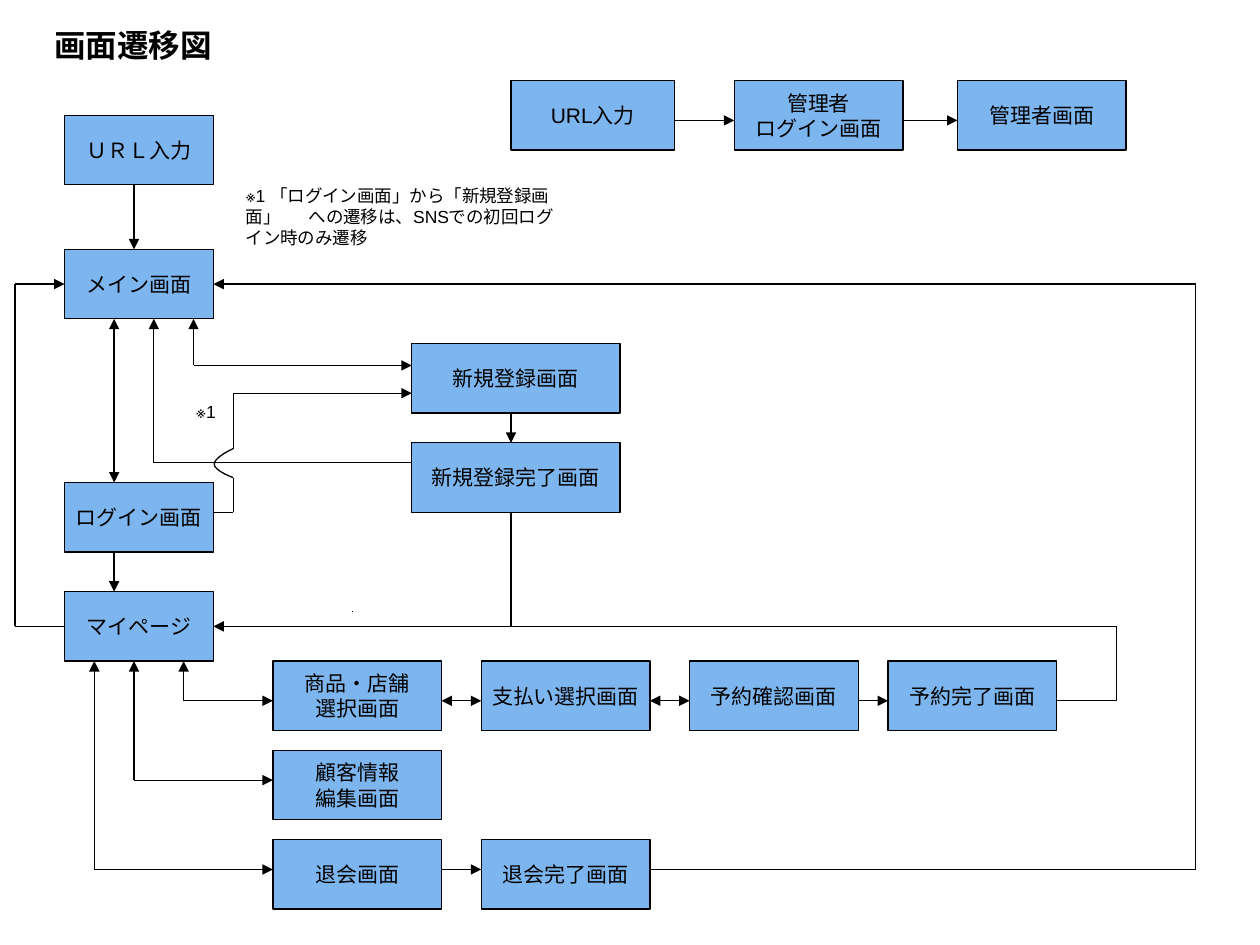
"""Build the screen transition diagram on a two-millimetre grid."""
from dataclasses import dataclass
from itertools import pairwise

from lxml import etree
from pptx import Presentation
from pptx import util as u
from pptx.dml.color import RGBColor
from pptx.enum import shapes, text
from pptx.oxml.ns import qn

CELL, LEFT, TOP = u.Mm(2), u.Inches(0.04), u.Inches(0.05)
BLACK, BLUE = "000000", "7DB6EF"
BOX_ROWS = 7
Point = tuple[float, float]


@dataclass(frozen=True)
class Screen:
    """A named screen, placed by grid column and row."""
    label: str
    column: float
    row: float
    columns: float = 17

    def sides(self) -> list[Point]:
        """Return the side middles as top, left, bottom, right."""
        middle, centre = self.column + self.columns / 2, self.row + BOX_ROWS / 2
        return [(middle, self.row), (self.column, centre),
                (middle, self.row + BOX_ROWS), (self.column + self.columns, centre)]


@dataclass(frozen=True)
class Route:
    """A transition through grid points, with arrows at its ends."""
    points: tuple[Point, ...]
    start_arrow: bool = False
    end_arrow: bool = True


@dataclass(frozen=True)
class Note:
    """Plain text in a wrapping box."""
    label: str
    column: float
    row: float
    columns: float
    rows: float
    size: int = 10
    bold: bool = False


SCREENS = [
    Screen("ＵＲＬ入力", 6, 11, 15),
    Screen("メイン画面", 6, 24.5, 15),
    Screen("ログイン画面", 6, 48, 15),
    Screen("マイページ", 6, 59, 15),
    Screen("新規登録画面", 41, 34, 21),
    Screen("新規登録完了画面", 41, 44, 21),
    Screen("商品・店舗\n選択画面", 27, 66),
    Screen("支払い選択画面", 48, 66),
    Screen("予約確認画面", 69, 66),
    Screen("予約完了画面", 89, 66),
    Screen("顧客情報\n編集画面", 27, 75),
    Screen("退会画面", 27, 84),
    Screen("退会完了画面", 48, 84),
    Screen("URL入力", 51, 7.5, 16.5),
    Screen("管理者\nログイン画面", 73.5, 7.5),
    Screen("管理者画面", 96, 7.5),
]

ROUTES = [
    Route(((13, 18), (13, 24.5))),
    Route(((11, 31.5), (11, 48)), start_arrow=True),
    Route(((11, 55), (11, 59))),
    Route(((19, 31.5), (19, 36.2), (41, 36.2)), start_arrow=True),
    Route(((41, 46), (15, 46), (15, 31.5))),
    Route(((51, 41), (51, 44))),
    Route(((51, 51), (51, 62.5)), end_arrow=False),
    Route(((21, 51), (23, 51), (23, 47.5)), end_arrow=False),
    Route(((23, 44.6), (23, 39), (41, 39))),
    Route(((18, 66), (18, 70), (27, 70)), start_arrow=True),
    Route(((13, 66), (13, 78), (27, 78)), start_arrow=True),
    Route(((9, 66), (9, 87), (27, 87)), start_arrow=True),
    Route(((44, 70), (48, 70)), start_arrow=True),
    Route(((65, 70), (69, 70)), start_arrow=True),
    Route(((86, 70), (89, 70))),
    Route(((106, 70), (112, 70), (112, 62.5), (21, 62.5))),
    Route(((44, 87), (48, 87))),
    Route(((65, 87), (120, 87), (120, 28), (21, 28))),
    Route(((6, 62.5), (1, 62.5), (1, 28), (6, 28))),
    Route(((67.5, 11.5), (73.5, 11.5))),
    Route(((90.5, 11.5), (96, 11.5))),
    Route(((35, 61), (35, 61.1)), end_arrow=False),
]

NOTES = [
    Note("画面遷移図", 3.7, 1.4, 19.3, 5.1, size=18, bold=True),
    Note("※1 「ログイン画面」から「新規登録画面」\tへの遷移は、SNSでの初回ログイン時のみ遷移",
         23, 17.4, 34, 7.6),
    Note("※1", 18, 39.2, 6, 3.4),
]

BRIDGE = [
    ((23, 44.6), (22.5, 44.8), (21, 45.6), (21.1, 46.2)),
    ((21.1, 46.2), (21.1, 46.7), (22.6, 47.4), (23, 47.5)),
]


def colour(value: str) -> RGBColor:
    """Turn a hex string into a colour."""
    return RGBColor.from_string(value)


def place(point: Point) -> tuple[int, int]:
    """Turn a grid point into slide lengths."""
    return round(LEFT + point[0] * CELL), round(TOP + point[1] * CELL)


def write(frame, label: str, align, size: int = 12, bold: bool = False) -> None:
    """Fill a text frame, one paragraph per line of the label."""
    for index, line in enumerate(label.split("\n")):
        para = frame.add_paragraph() if index else frame.paragraphs[0]
        para.alignment = align
        span = para.add_run()
        span.text = line
        for name, value in {"name": "Arial", "size": u.Pt(size), "bold": bold}.items():
            setattr(span.font, name, value)
        span.font.color.rgb = colour(BLACK)


def outline(shape) -> None:
    """Give a shape or connector the common thin line."""
    shape.line.color.rgb = colour(BLACK)
    shape.line.width = u.Pt(0.75)


def draw_screen(page, screen: Screen):
    """Draw one screen box and return it."""
    box = page.shapes.add_shape(
        shapes.MSO_SHAPE.FLOWCHART_PROCESS, *place((screen.column, screen.row)),
        round(screen.columns * CELL), BOX_ROWS * CELL)
    box.shadow.inherit = False
    box.fill.solid()
    box.fill.fore_color.rgb = colour(BLUE)
    outline(box)
    box.text_frame.word_wrap = False
    box.text_frame.vertical_anchor = text.MSO_ANCHOR.MIDDLE
    write(box.text_frame, screen.label, text.PP_ALIGN.CENTER)
    return box


def draw_route(page, route: Route, joints: dict) -> None:
    """Draw a route, joining it to boxes at the middles of their sides."""
    last = len(route.points) - 2
    for index, (start, end) in enumerate(pairwise(route.points)):
        line = page.shapes.add_connector(
            shapes.MSO_CONNECTOR.STRAIGHT, *place(start), *place(end))
        outline(line)
        if start in joints:
            line.begin_connect(*joints[start])
        if end in joints:
            line.end_connect(*joints[end])
        stroke = line.line._get_or_add_ln()
        arrows = {"a:headEnd": route.start_arrow and index == 0,
                  "a:tailEnd": route.end_arrow and index == last}
        for tag, shown in arrows.items():
            if shown:
                etree.SubElement(stroke, qn(tag), type="triangle")
        etree.SubElement(line._element.spPr, qn("a:effectLst"))


def draw_note(page, note: Note) -> None:
    """Draw one text box with a half-inch tab stop."""
    box = page.shapes.add_textbox(*place((note.column, note.row)),
                                  round(note.columns * CELL), round(note.rows * CELL))
    box.text_frame.word_wrap = True
    write(box.text_frame, note.label, text.PP_ALIGN.LEFT, note.size, note.bold)
    if "\t" in note.label:
        settings = box.text_frame.paragraphs[0]._p.get_or_add_pPr()
        stops = etree.SubElement(settings, qn("a:tabLst"))
        etree.SubElement(stops, qn("a:tab"), pos=str(u.Inches(0.5)), algn="l")


def draw_bridge(page, steps: int = 12) -> None:
    """Draw the curve that hops over a crossing line."""
    points = []
    for curve in BRIDGE:
        for step in range(steps + 1):
            t = step / steps
            weights = ((1 - t) ** 3, 3 * t * (1 - t) ** 2, 3 * t * t * (1 - t), t ** 3)
            points.append(place(tuple(
                sum(w * p[axis] for w, p in zip(weights, curve)) for axis in (0, 1))))
    builder = page.shapes.build_freeform(*points[0])
    builder.add_line_segments(points[1:], close=False)
    bridge = builder.convert_to_shape()
    bridge.shadow.inherit = False
    bridge.fill.background()
    outline(bridge)


def main() -> None:
    """Build and save the deck."""
    deck = Presentation()
    deck.slide_width, deck.slide_height = u.Inches(10), u.Inches(7.5)
    page = deck.slides.add_slide(deck.slide_layouts[6])
    joints = {}
    for screen in SCREENS:
        box = draw_screen(page, screen)
        joints.update({side: (box, site) for site, side in enumerate(screen.sides())})
    for route in ROUTES:
        draw_route(page, route, joints)
    draw_bridge(page)
    for note in NOTES:
        draw_note(page, note)
    deck.save("out.pptx")


if __name__ == "__main__":
    main()
